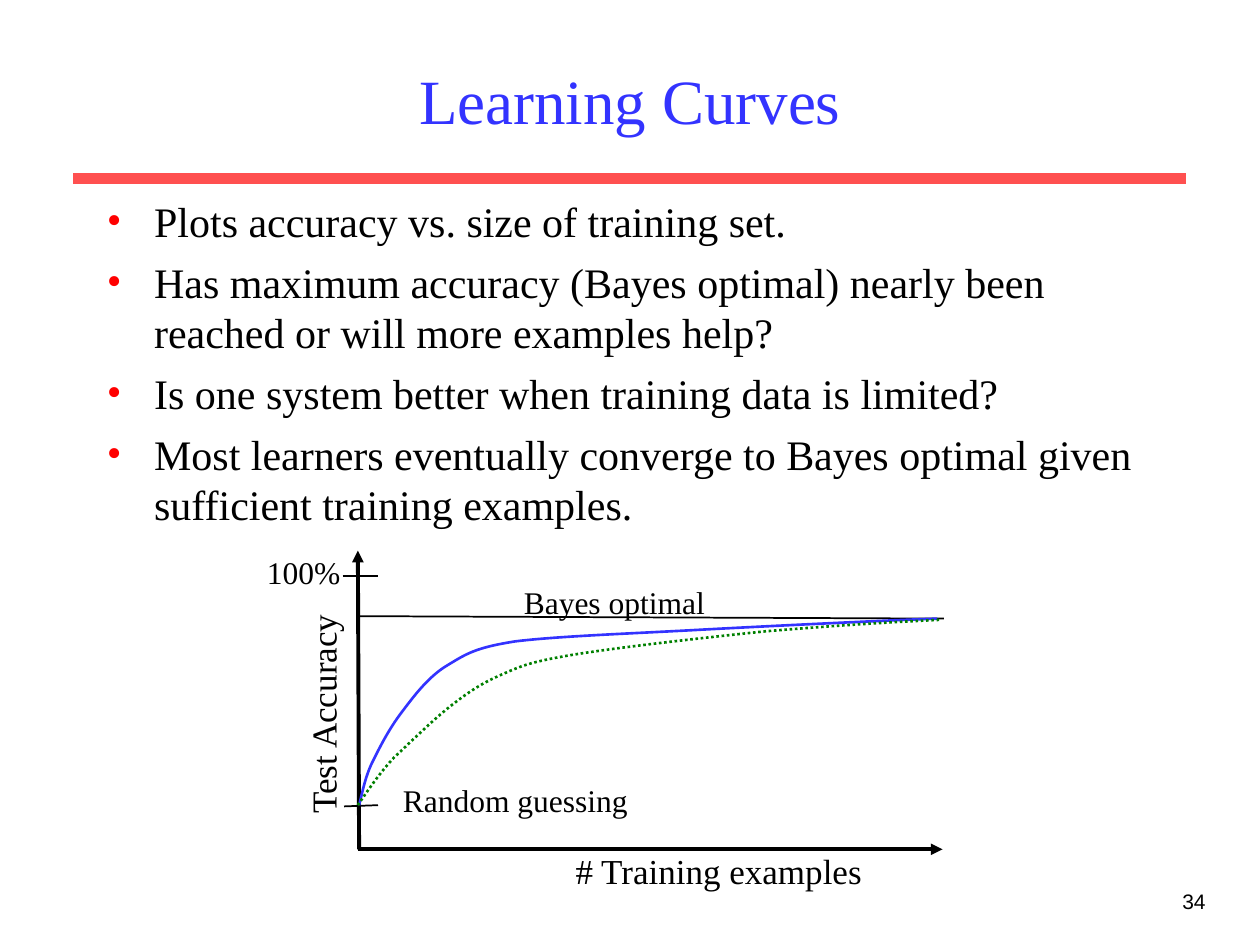
from dataclasses import dataclass

from lxml.etree import SubElement
from pptx import Presentation
from pptx.dml.color import RGBColor
from pptx.enum.dml import MSO_LINE_DASH_STYLE as Dash
from pptx.enum.shapes import MSO_CONNECTOR as Connector
from pptx.enum.text import MSO_ANCHOR as Anchor, MSO_AUTO_SIZE as AutoSize, PP_ALIGN as Align
from pptx.oxml.ns import qn
from pptx.util import Pt


@dataclass(frozen=True)
class Theme:
    serif: str = "Times New Roman"
    sans: str = "Arial"
    ink: str = "000000"
    blue: str = "3333FF"
    green: str = "008000"
    rule: str = "FF5050"
    bullet: str = "FF0000"
    title_size: int = 36
    body_size: int = 24
    axis_size: int = 20
    label_size: int = 18
    number_size: int = 12


def color(value):
    return RGBColor.from_string(value)


def write(para, text, *, size, font, ink, align=Align.LEFT):
    para.alignment = align
    span = para.add_run()
    span.text = text
    span.font.size = Pt(size)
    span.font.name = font
    span.font.color.rgb = color(ink)


def bend(shape, segments):
    """Turn each straight segment of a freeform into a cubic curve."""
    for node, points in zip(list(shape._element.iter(qn("a:lnTo"))), segments):
        node.clear()
        node.tag = qn("a:cubicBezTo")
        for x, y in points:
            SubElement(node, qn("a:pt"), x=str(Pt(x) - shape.left), y=str(Pt(y) - shape.top))


class Painter:
    def __init__(self, page, theme):
        self.page = page
        self.theme = theme

    def text(self, text, left, top, width, height, *, size, font=None, ink=None,
             align=Align.LEFT, anchor=Anchor.TOP):
        box = self.page.shapes.add_textbox(Pt(left), Pt(top), Pt(width), Pt(height))
        frame = box.text_frame
        frame.word_wrap = True
        frame.vertical_anchor = anchor
        write(frame.paragraphs[0], text, size=size, font=font or self.theme.serif,
              ink=ink or self.theme.ink, align=align)
        return box

    def label(self, text, left, top, width, height, *, size, rotation=0):
        box = self.text(text, left, top, width, height, size=size)
        box.text_frame.word_wrap = False
        box.text_frame.auto_size = AutoSize.SHAPE_TO_FIT_TEXT
        box.rotation = rotation

    def bullets(self, items, left, top, width, height, *, indent=27, gap=6):
        box = self.page.shapes.add_textbox(Pt(left), Pt(top), Pt(width), Pt(height))
        frame = box.text_frame
        frame.word_wrap = True
        for index, item in enumerate(items):
            para = frame.add_paragraph() if index else frame.paragraphs[0]
            properties = para._p.get_or_add_pPr()
            properties.set("marL", str(Pt(indent)))
            properties.set("indent", str(-Pt(indent)))
            tint = SubElement(properties, qn("a:buClr"))
            SubElement(tint, qn("a:srgbClr"), val=self.theme.bullet)
            SubElement(properties, qn("a:buFont"), typeface=self.theme.serif)
            SubElement(properties, qn("a:buChar"), char="•")
            if index:
                para.space_before = Pt(gap)
            write(para, item, size=self.theme.body_size, font=self.theme.serif,
                  ink=self.theme.ink)

    def line(self, start, end, *, width=1, ink=None, arrow=False):
        x1, y1, x2, y2 = map(Pt, (*start, *end))
        line = self.page.shapes.add_connector(Connector.STRAIGHT, x1, y1, x2, y2)
        line.line.color.rgb = color(ink or self.theme.ink)
        line.line.width = Pt(width)
        properties = line._element.spPr
        if arrow:
            SubElement(properties.find(qn("a:ln")), qn("a:tailEnd"), type="triangle")
        SubElement(properties, qn("a:effectLst"))

    def curve(self, start, segments, *, ink, width=1.5, dash=None):
        builder = self.page.shapes.build_freeform(Pt(start[0]), Pt(start[1]))
        builder.add_line_segments([(Pt(x), Pt(y)) for _, _, (x, y) in segments], close=False)
        shape = builder.convert_to_shape()
        bend(shape, segments)
        shape.shadow.inherit = False
        shape.fill.background()
        shape.line.color.rgb = color(ink)
        shape.line.width = Pt(width)
        if dash:
            shape.line.dash_style = dash


QUESTIONS = (
    "Plots accuracy vs. size of training set.",
    "Has maximum accuracy (Bayes optimal) nearly been reached or will more examples help?",
    "Is one system better when training data is limited?",
    "Most learners eventually converge to Bayes optimal given sufficient training examples.",
)
# Each segment: two control points and an end point.
FAST_LEARNER = (
    ((207.4, 451.4), (208.8, 443.5), (213.1, 434.9)),
    ((217.4, 426.2), (222.5, 416.2), (229.7, 406.8)),
    ((236.2, 398.2), (244.8, 386.6), (255.6, 380.2)),
    ((266.4, 373.7), (271.4, 370.1), (294.5, 366.5)),
    ((318.2, 363.6), (357.1, 362.2), (397.4, 360)),
    ((437.8, 357.8), (512.6, 354.2), (535.7, 353.5)),
)
SLOW_LEARNER = (
    ((211, 450.7), (216.7, 442.1), (225.4, 432.7)),
    ((234.7, 424.1), (247, 411.8), (257, 403.9)),
    ((267.1, 396), (274.3, 391), (285.8, 385.9)),
    ((297.4, 380.9), (301, 378.7), (326.2, 374.4)),
    ((352.1, 370.1), (403.2, 364.3), (438.5, 360.7)),
    ((473.8, 357.8), (505.4, 355.7), (537.8, 354.2)),
)


def draw_heading(painter):
    theme = painter.theme
    painter.line((42, 102), (678, 102), width=6, ink=theme.rule)
    painter.text("34", 546, 504, 150, 36, size=theme.number_size, font=theme.sans,
                 align=Align.RIGHT)
    painter.text("Learning Curves", 54, 18, 612, 78, size=theme.title_size,
                 ink=theme.blue, align=Align.CENTER, anchor=Anchor.MIDDLE)


def draw_plot(painter):
    theme = painter.theme
    painter.line((205.2, 485.3), (204.5, 314.6), width=2.25, arrow=True)
    painter.line((204.5, 485.3), (538.6, 485.3), width=2.25, arrow=True)
    painter.label("Test Accuracy", 119.5, 391, 130.3, 31.7, size=theme.axis_size,
                  rotation=270)
    painter.label("# Training examples", 321.8, 481.7, 179.3, 31.7, size=theme.axis_size)

    painter.line((195.8, 329), (216, 329))
    painter.line((196.6, 460.8), (216, 460.1))
    painter.line((205.2, 352.1), (539.3, 353.5))
    for text, left, top, width in (
        ("100%", 145.4, 312.5, 56.2),
        ("Bayes optimal", 292.3, 329.4, 118.1),
        ("Random guessing", 223.2, 442.8, 144),
    ):
        painter.label(text, left, top, width, 28.8, size=theme.label_size)

    painter.curve((205.2, 460.1), FAST_LEARNER, ink=theme.blue)
    painter.curve((204.5, 460.1), SLOW_LEARNER, ink=theme.green, dash=Dash.ROUND_DOT)


def main():
    deck = Presentation()
    deck.slide_width, deck.slide_height = Pt(720), Pt(540)
    page = deck.slides.add_slide(deck.slide_layouts[6])
    painter = Painter(page, Theme())
    draw_heading(painter)
    painter.bullets(QUESTIONS, 54, 108, 612, 369)
    draw_plot(painter)
    deck.save("out.pptx")


if __name__ == "__main__":
    main()
